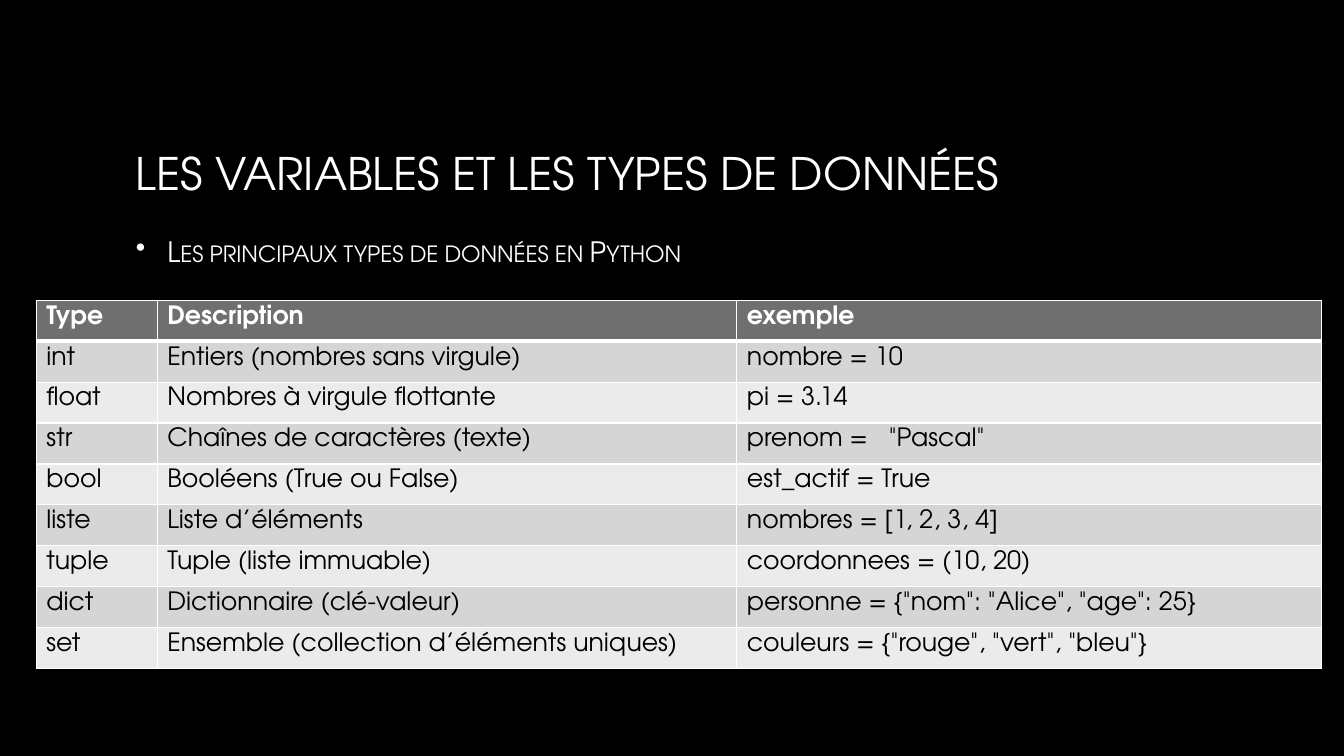
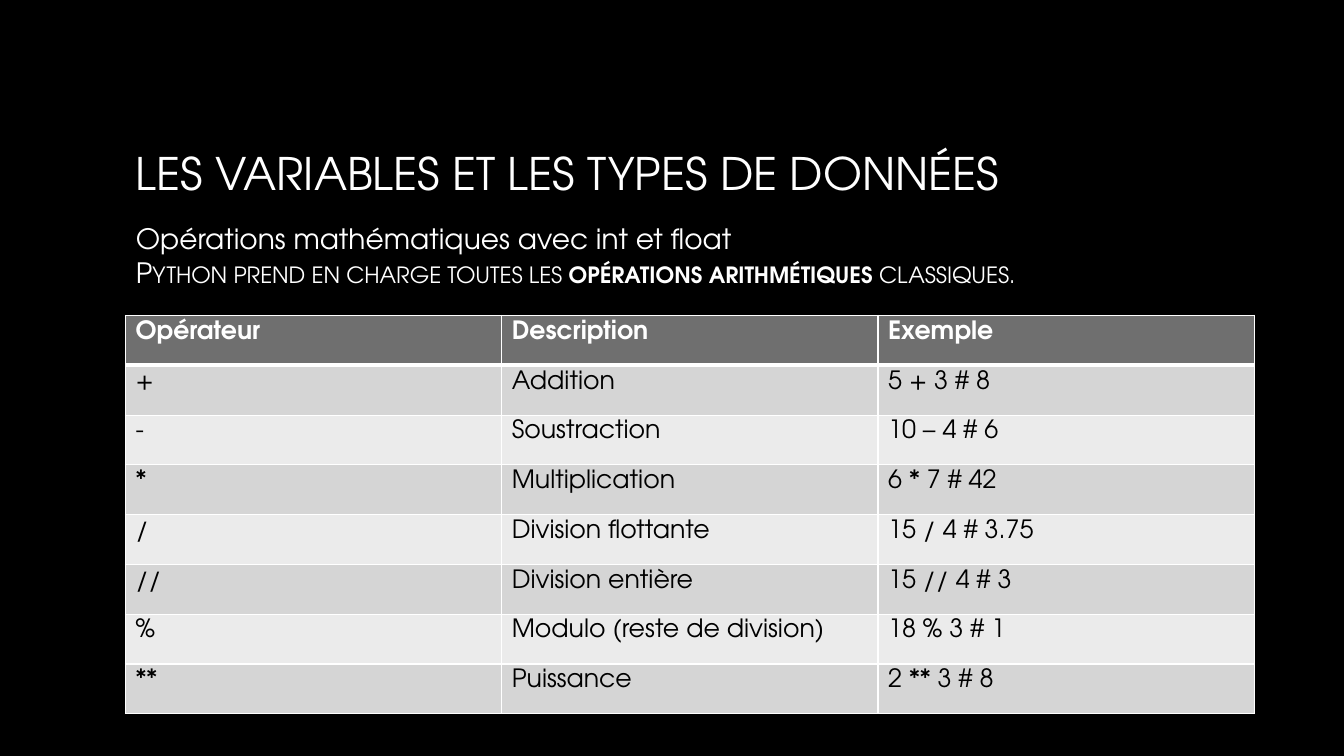
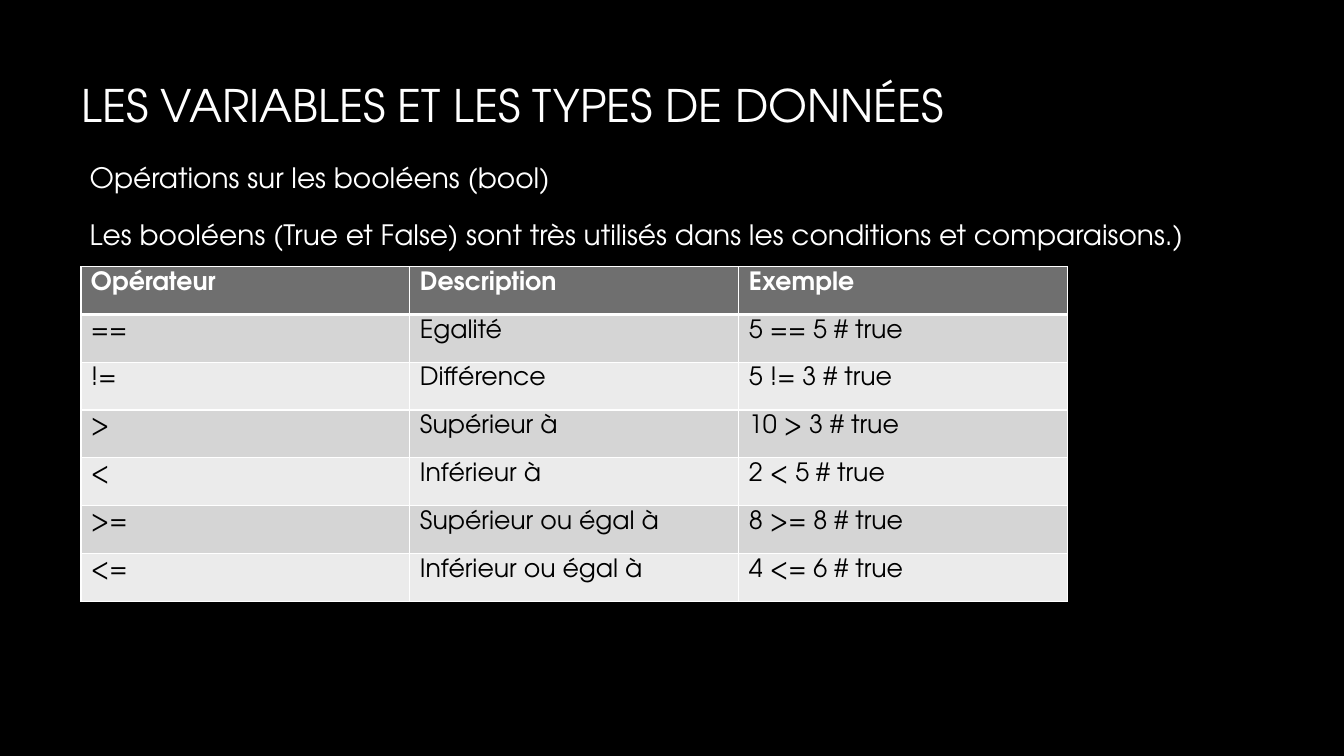
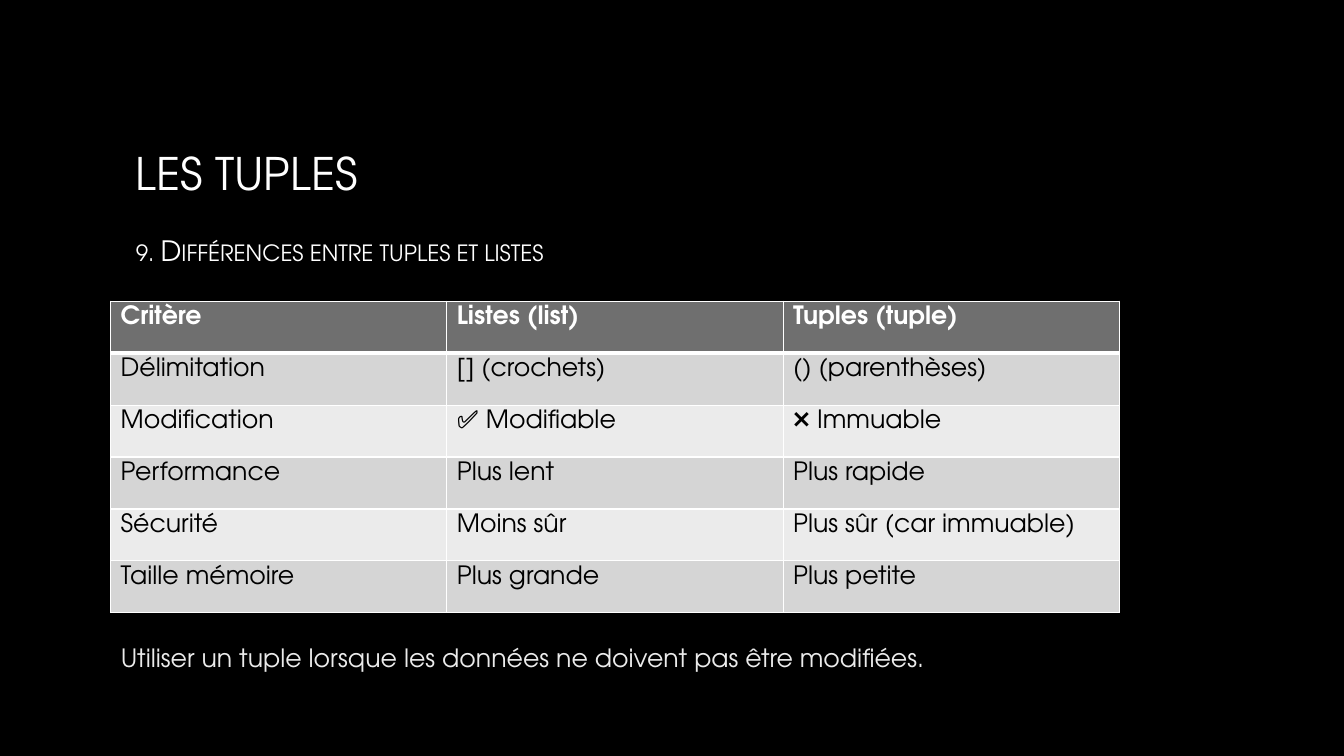
from lxml import etree
from pptx import Presentation
from pptx.dml.color import RGBColor
from pptx.enum.text import MSO_ANCHOR
from pptx.oxml.ns import qn
from pptx.util import Pt

MID, TOP = MSO_ANCHOR.MIDDLE, MSO_ANCHOR.TOP
FONT = "TeX Gyre Adventor"
HEX = {"back": "000000", "white": "FFFFFF", "ink": "000000", "head": "6F6F6F",
       "odd": "D5D5D5", "even": "EBEBEB", "note": "EBEBEB"}

# Text formats
TITLE = {"size": 32, "color": "white"}
BODY = {"size": 20, "color": "white"}
CAPS = {**BODY, "small": True}
STRONG = {**CAPS, "bold": True}
NOTE = {"size": 18, "color": "note"}
HEAD = {"size": 18, "color": "white", "bold": True}
CELL = {"size": 18, "color": "ink"}

# Content: a text is (box, paragraphs, options), a paragraph a list of runs
TYPES = "LES VARIABLES ET LES TYPES DE DONNÉES"
SPOT = (90, 48.2)
SLIDES = [
    {"title": TYPES, "spot": SPOT,
     "texts": [
         ((90, 160, 780, 39),
          [[("Les principaux types de données en Python", CAPS)]],
          {"bullet": True})],
     "at": (25.9, 214.6), "cols": [86.4, 414, 417.6], "row": 29.2,
     "rows": [
         ("Type", "Description", "exemple"),
         ("int", "Entiers (nombres sans virgule)", "nombre = 10"),
         ("float", "Nombres à virgule flottante", "pi = 3.14"),
         ("str", "Chaînes de caractères (texte)", 'prenom =   "Pascal"'),
         ("bool", "Booléens (True ou False)", "est_actif = True"),
         ("liste", "Liste d’éléments", "nombres = [1, 2, 3, 4]"),
         ("tuple", "Tuple (liste immuable)", "coordonnees = (10, 20)"),
         ("dict", "Dictionnaire (clé-valeur)",
          'personne = {"nom": "Alice", "age": 25}'),
         ("set", "Ensemble (collection d’éléments uniques)",
          'couleurs = {"rouge", "vert", "bleu"}')]},
    {"title": TYPES, "spot": SPOT,
     "texts": [
         ((90, 154.8, 662.4, 55.4),
          [[("Opérations mathématiques avec int et float", BODY)],
           [("Python prend en charge toutes les ", CAPS),
            ("opérations arithmétiques", STRONG),
            (" classiques.", CAPS)]], {})],
     "at": (89.6, 225.4), "cols": [268.8] * 3, "row": 35.55,
     "rows": [
         ("Opérateur", "Description", "Exemple"),
         ("+", "Addition", "5 + 3 # 8"),
         ("-", "Soustraction", "10 – 4 # 6"),
         ("*", "Multiplication", "6 * 7 # 42"),
         ("/", "Division flottante", "15 / 4 # 3.75"),
         ("//", "Division entière", "15 // 4 # 3"),
         ("%", "Modulo (reste de division)", "18 % 3 # 1"),
         ("**", "Puissance", "2 ** 3 # 8")]},
    {"title": TYPES, "spot": (51.1, 0),
     "texts": [
         ((57, 110, 712, 33),
          [[("Opérations sur les booléens (bool)", BODY)]], {}),
         ((57, 151.2, 810, 31.7),
          [[("Les booléens (True et False) sont très utilisés dans les "
             "conditions et comparaisons.)", BODY)]], {})],
     "at": (57.8, 190.5), "cols": [235] * 3, "row": 34.15,
     "rows": [
         ("Opérateur", "Description", "Exemple"),
         ("==", "Egalité", "5 == 5 # true"),
         ("!=", "Différence", "5 != 3 # true"),
         (">", "Supérieur à", "10 > 3 # true"),
         ("<", "Inférieur à", "2 < 5 # true"),
         (">=", "Supérieur ou égal à", "8 >= 8 # true"),
         ("<=", "Inférieur ou égal à", "4 <= 6 # true")]},
    {"title": "LES TUPLES", "spot": SPOT,
     "texts": [
         ((90, 141.8, 645, 73.4),
          [[("9. Différences entre tuples et listes", CAPS)]], {}),
         ((79.2, 455, 695.5, 28.8),
          [[("Utiliser un tuple lorsque les données ne doivent pas être "
             "modifiées.", NOTE)]], {"anchor": TOP})],
     "at": (79, 215.2), "cols": [240.2] * 3, "row": 37.1,
     "rows": [
         ("Critère", "Listes (list)", "Tuples (tuple)"),
         ("Délimitation", "[] (crochets)", "() (parenthèses)"),
         ("Modification", "✅ Modifiable", "❌ Immuable"),
         ("Performance", "Plus lent", "Plus rapide"),
         ("Sécurité", "Moins sûr", "Plus sûr (car immuable)"),
         ("Taille mémoire", "Plus grande", "Plus petite")]},
]


def rgb(name):
    return RGBColor.from_string(HEX[name])


def add_run(para, text, form):
    run = para.add_run()
    run.text = text
    look = {"name": FONT, "size": Pt(form["size"]),
            "bold": form.get("bold", False)}
    for key, value in look.items():
        setattr(run.font, key, value)
    run.font.color.rgb = rgb(form["color"])
    if form.get("small"):
        run.font._element.set("cap", "small")


def add_dot(para):
    props = para._p.get_or_add_pPr()
    gap = Pt(22.5)
    props.set("marL", str(gap))
    props.set("indent", str(-gap))
    etree.SubElement(props, qn("a:buChar")).set("char", "•")


def add_text(slide, box, paras, anchor=MID, bullet=False):
    frame = slide.shapes.add_textbox(*map(Pt, box)).text_frame
    frame.word_wrap = True
    frame.vertical_anchor = anchor
    for i, runs in enumerate(paras):
        para = frame.add_paragraph() if i else frame.paragraphs[0]
        if bullet:
            add_dot(para)
        for text, form in runs:
            add_run(para, text, form)


def add_edges(cell, widths):
    props = cell._tc.get_or_add_tcPr()
    for side, width in widths.items():
        line = etree.SubElement(props, qn("a:ln" + side))
        line.set("w", str(Pt(width)))
        fill = etree.SubElement(line, qn("a:solidFill"))
        etree.SubElement(fill, qn("a:srgbClr")).set("val", HEX["white"])


def add_grid(slide, at, cols, row, rows):
    size = (sum(cols), row * len(rows))
    grid = slide.shapes.add_table(len(rows), len(cols),
                                  *map(Pt, at + size)).table
    for col, width in zip(grid.columns, cols):
        col.width = Pt(width)
    for r, texts in enumerate(rows):
        grid.rows[r].height = Pt(row)
        shade = "head" if r == 0 else "odd" if r % 2 else "even"
        # The heavy rule lies between the header and the first row
        edges = {"L": 1, "R": 1, "T": 3 if r == 1 else 1,
                 "B": 3 if r == 0 else 1}
        for c, text in enumerate(texts):
            cell = grid.cell(r, c)
            add_edges(cell, edges)
            cell.fill.solid()
            cell.fill.fore_color.rgb = rgb(shade)
            add_run(cell.text_frame.paragraphs[0], text, CELL if r else HEAD)


def main():
    deck = Presentation()
    deck.slide_width, deck.slide_height = Pt(960), Pt(540)
    back = deck.slide_master.background.fill
    back.solid()
    back.fore_color.rgb = rgb("back")
    for page in SLIDES:
        slide = deck.slides.add_slide(deck.slide_layouts[6])
        add_text(slide, page["spot"] + (779.8, 149.8),
                 [[(page["title"], TITLE)]])
        for box, paras, opts in page["texts"]:
            add_text(slide, box, paras, **opts)
        add_grid(slide, page["at"], page["cols"], page["row"], page["rows"])
    deck.save("out.pptx")


if __name__ == "__main__":
    main()
